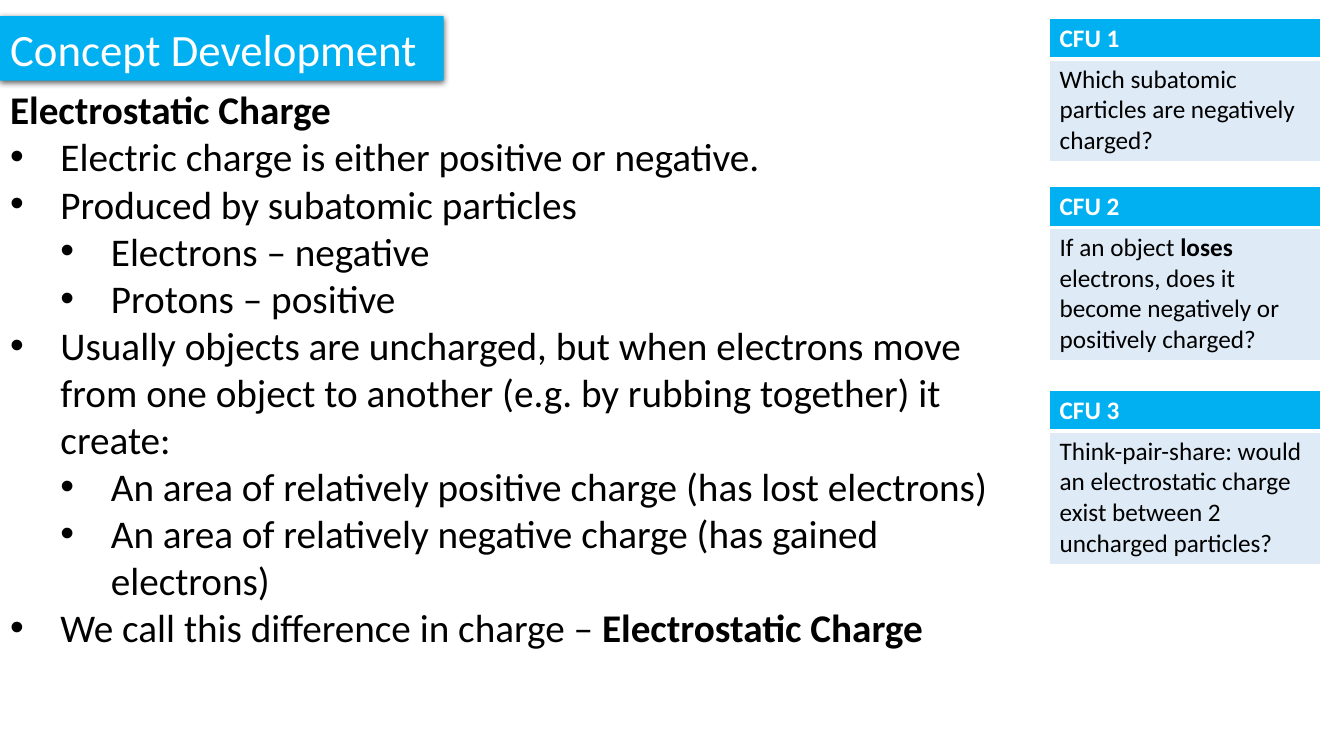
from lxml import etree
from pptx import Presentation
from pptx.dml.color import RGBColor
from pptx.enum.text import MSO_ANCHOR, MSO_AUTO_SIZE, PP_ALIGN
from pptx.oxml import parse_xml
from pptx.oxml.ns import nsdecls, qn
from pptx.util import Inches, Pt

TOP, MIDDLE = MSO_ANCHOR.TOP, MSO_ANCHOR.MIDDLE
NO_AUTOFIT = MSO_AUTO_SIZE.NONE
LEFT = PP_ALIGN.LEFT

BLUE = RGBColor(0x00, 0xB0, 0xF0)
PALE_BLUE = RGBColor(0xDE, 0xEB, 0xF7)
WHITE = RGBColor(0xFF, 0xFF, 0xFF)
BLACK = RGBColor(0x00, 0x00, 0x00)


def add_run(paragraph, text, size, color, bold=False):
    run = paragraph.add_run()
    run.text = text
    run.font.name = "Calibri"
    run.font.size = Pt(size)
    run.font.bold = bold
    run.font.color.rgb = color


def style_cell(cell, fill, border_widths):
    """Fill a cell and give it white borders: left, right, top, bottom in points."""
    properties = cell._tc.get_or_add_tcPr()
    for side, width in zip(("lnL", "lnR", "lnT", "lnB"), border_widths):
        properties.append(parse_xml(
            f'<a:{side} {nsdecls("a")} w="{Pt(width)}"><a:solidFill>'
            f'<a:srgbClr val="{WHITE}"/></a:solidFill></a:{side}>'))
    cell.fill.solid()
    cell.fill.fore_color.rgb = fill


prs = Presentation()
prs.slide_width, prs.slide_height = Inches(13.33), Inches(7.5)
slide = prs.slides.add_slide(prs.slide_layouts[1])

# Title in a pentagon banner with a soft shadow
banner = slide.shapes.title
banner.left, banner.top = Inches(0), Inches(0.16)
banner.width, banner.height = Inches(4.4), Inches(0.64)
banner_properties = banner._element.spPr
banner_properties.append(parse_xml(
    f'<a:prstGeom {nsdecls("a")} prst="homePlate"><a:avLst/></a:prstGeom>'))
banner.fill.solid()
banner.fill.fore_color.rgb = BLUE
banner.line.fill.background()
banner_properties.append(parse_xml(
    f'<a:effectLst {nsdecls("a")}><a:outerShdw blurRad="{Pt(4.5)}" dist="{Pt(1.5)}" '
    'dir="5400000" rotWithShape="0"><a:srgbClr val="000000"><a:alpha val="63000"/>'
    '</a:srgbClr></a:outerShdw></a:effectLst>'))
banner.text_frame.word_wrap = False
banner.text_frame.auto_size = NO_AUTOFIT
banner.text_frame.vertical_anchor = MIDDLE
heading = banner.text_frame.paragraphs[0]
heading.alignment = LEFT
add_run(heading, "Concept Development", 32, WHITE)

# Notes on charge: (level, runs), where level None is the unbulleted heading
# and each run is (text, bold)
charge_points = [
    (None, [("Electrostatic Charge", True)]),
    (0, [("Electric charge is either positive or negative.", False)]),
    (0, [("Produced by subatomic particles", False)]),
    (1, [("Electrons – negative", False)]),
    (1, [("Protons – positive", False)]),
    (0, [("Usually objects are uncharged, but when electrons move from one object "
          "to another (e.g. by rubbing together) it create:", False)]),
    (1, [("An area of relatively positive charge (has lost electrons)", False)]),
    (1, [("An area of relatively negative charge (has gained electrons)", False)]),
    (0, [("We call this difference in charge – ", False),
         ("Electrostatic Charge", True)]),
]
charge_notes = slide.placeholders[1]
charge_notes.left, charge_notes.top = Inches(0), Inches(0.8)
charge_notes.width, charge_notes.height = Inches(10.36), Inches(5.76)
notes_frame = charge_notes.text_frame
notes_frame.word_wrap = True
notes_frame.auto_size = NO_AUTOFIT
notes_frame.vertical_anchor = TOP
for index, (level, runs) in enumerate(charge_points):
    point = notes_frame.add_paragraph() if index else notes_frame.paragraphs[0]
    point.space_before = Pt(0)
    point_properties = point._p.get_or_add_pPr()
    if level is None:
        point_properties.set("marL", "0")
        point_properties.set("indent", "0")
        etree.SubElement(point_properties, qn("a:buNone"))
    else:
        point.level = level
        point_properties.set("marL", str(Inches(0.5 * (level + 1))))
        point_properties.set("indent", str(Inches(-0.5)))
        etree.SubElement(point_properties, qn("a:buFont")).set("typeface", "Arial")
        etree.SubElement(point_properties, qn("a:buChar")).set("char", "•")
    for text, bold in runs:
        add_run(point, text, 28, BLACK, bold)

# Check-for-understanding tables: (top, question height, question runs)
HEADER_HEIGHT = 0.39
checks = [
    (0.18, 1.01, [("Which subatomic particles are negatively charged?", False)]),
    (1.85, 1.31, [("If an object ", False), ("loses", True),
                  (" electrons, does it become negatively or positively charged?",
                   False)]),
    (3.87, 1.31, [("Think-pair-share: would an electrostatic charge exist between "
                   "2 uncharged particles?", False)]),
]
for number, (top, question_height, question_runs) in enumerate(checks, 1):
    check = slide.shapes.add_table(
        2, 1, Inches(10.41), Inches(top), Inches(2.69),
        Inches(HEADER_HEIGHT + question_height)).table
    check.rows[0].height = Inches(HEADER_HEIGHT)
    check.rows[1].height = Inches(question_height)
    label, question = check.cell(0, 0), check.cell(1, 0)
    style_cell(label, BLUE, (1, 1, 1, 3))
    style_cell(question, PALE_BLUE, (1, 1, 3, 1))
    add_run(label.text_frame.paragraphs[0], f"CFU {number}", 18, WHITE, True)
    for text, bold in question_runs:
        add_run(question.text_frame.paragraphs[0], text, 18, BLACK, bold)

prs.save("out.pptx")
